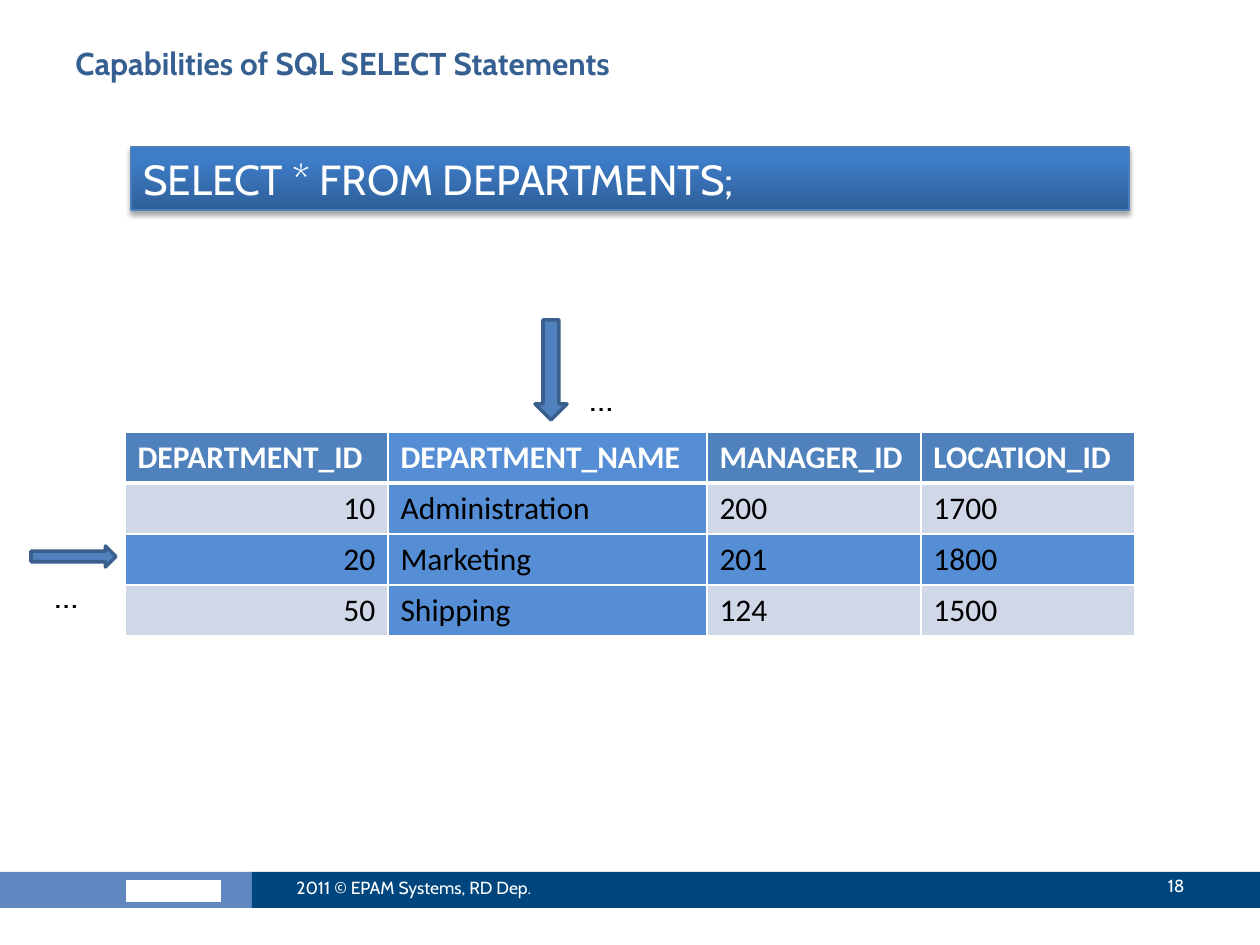
from lxml import etree
from pptx import Presentation
from pptx.dml.color import RGBColor
from pptx.enum.shapes import MSO_SHAPE
from pptx.enum.text import MSO_ANCHOR, PP_ALIGN
from pptx.oxml import parse_xml
from pptx.oxml.ns import nsdecls, qn
from pptx.util import Pt

RECTANGLE = MSO_SHAPE.RECTANGLE
DOWN_ARROW = MSO_SHAPE.DOWN_ARROW
RIGHT_ARROW = MSO_SHAPE.RIGHT_ARROW
TOP, MIDDLE = MSO_ANCHOR.TOP, MSO_ANCHOR.MIDDLE
LEFT, RIGHT = PP_ALIGN.LEFT, PP_ALIGN.RIGHT

WHITE = RGBColor(0xFF, 0xFF, 0xFF)
BLACK = RGBColor(0x00, 0x00, 0x00)
NAVY = RGBColor(0x00, 0x46, 0x7E)
STEEL = RGBColor(0x60, 0x87, 0xBF)
TITLE_BLUE = RGBColor(0x37, 0x60, 0x92)
HEADER_BLUE = RGBColor(0x4F, 0x81, 0xBD)
ARROW_EDGE = RGBColor(0x3A, 0x5F, 0x8C)
HIGHLIGHT = RGBColor(0x55, 0x8E, 0xD5)
PALE_BLUE = RGBColor(0xD0, 0xD8, 0xE8)
BANNER_DARK = RGBColor(0x2F, 0x5F, 0x99)
BANNER_LIGHT = RGBColor(0x3D, 0x7C, 0xC7)
BANNER_EDGE = RGBColor(0x4B, 0x7E, 0xBC)

PX_PER_INCH = 126
HEADING_FONT, TABLE_FONT = "Cabin", "Calibri"
DEPARTMENTS = [
    ["DEPARTMENT_ID", "DEPARTMENT_NAME", "MANAGER_ID", "LOCATION_ID"],
    ["10", "Administration", "200", "1700"],
    ["20", "Marketing", "201", "1800"],
    ["50", "Shipping", "124", "1500"],
]
COLUMN_WIDTHS = [263, 319, 214, 214]
ROW_HEIGHT = 51
HIGHLIGHT_ROW, HIGHLIGHT_COLUMN = 2, 1


def px(length):
    return round(length * 914400 / PX_PER_INCH)


def style_text(para, size, color, font=HEADING_FONT, bold=False, align=LEFT):
    para.alignment = align
    para.font.size = Pt(size)
    para.font.name = font
    para.font.bold = bold
    para.font.color.rgb = color


def add_text(page, box, text, size, color, anchor=TOP, **style):
    frame = page.shapes.add_textbox(*map(px, box)).text_frame
    frame.word_wrap = True
    frame.vertical_anchor = anchor
    frame.text = text
    style_text(frame.paragraphs[0], size, color, **style)


def add_block(page, preset, box, fill, edge=None, edge_width=2):
    block = page.shapes.add_shape(preset, *map(px, box))
    block.shadow.inherit = False
    block.fill.solid()
    block.fill.fore_color.rgb = fill
    if edge is None:
        block.line.fill.background()
    else:
        block.line.color.rgb = edge
        block.line.width = Pt(edge_width)
    return block


def add_footer(page, box):
    left, top, width, height = box
    add_block(page, RECTANGLE, (left, top, 252, height), STEEL)
    add_block(page, RECTANGLE, (left + 126, top + 8, 95, 22), WHITE)
    add_block(page, RECTANGLE, (left + 252, top, width - 252, height), NAVY)
    add_text(page, (left + 284, top - 9, 336, 50),
             "2011 © EPAM Systems, RD Dep.", 10, WHITE, MIDDLE)
    add_text(page, (left + width - 199, top - 11, 136, 50),
             "18", 10, WHITE, MIDDLE, align=RIGHT)


def add_query_banner(page, box, query):
    banner = add_block(page, RECTANGLE, box, BANNER_LIGHT, BANNER_EDGE, 0.75)
    banner.fill.gradient()
    banner.fill.gradient_angle = 90
    stops = banner.fill.gradient_stops
    for stop, position, color in zip(stops, (0, 0.8), (BANNER_DARK, BANNER_LIGHT)):
        stop.position = position
        stop.color.rgb = color
    effects = banner._element.spPr.find(qn("a:effectLst"))
    effects.append(parse_xml(
        f'<a:outerShdw {nsdecls("a")} blurRad="{Pt(3.1)}" dist="{Pt(1.8)}" '
        'dir="5400000" rotWithShape="0"><a:srgbClr val="000000">'
        '<a:alpha val="35000"/></a:srgbClr></a:outerShdw>'))
    frame = banner.text_frame
    frame.word_wrap = True
    frame.vertical_anchor = TOP
    frame.text = query
    style_text(frame.paragraphs[0], 24, WHITE)


def set_borders(cell, color, bottom_width):
    properties = cell._tc.get_or_add_tcPr()
    widths = {"lnL": 1, "lnR": 1, "lnT": 1, "lnB": bottom_width}
    for index, (side, width) in enumerate(widths.items()):
        line = etree.Element(qn(f"a:{side}"), w=str(Pt(width)))
        fill = etree.SubElement(line, qn("a:solidFill"))
        etree.SubElement(fill, qn("a:srgbClr"), val=str(color))
        properties.insert(index, line)


def cell_fill(row, column):
    if row == HIGHLIGHT_ROW or column == HIGHLIGHT_COLUMN:
        return HIGHLIGHT
    return HEADER_BLUE if row == 0 else PALE_BLUE


def add_departments_table(page, left, top):
    row_count = len(DEPARTMENTS)
    box = (left, top, sum(COLUMN_WIDTHS), ROW_HEIGHT * row_count)
    table = page.shapes.add_table(
        row_count, len(COLUMN_WIDTHS), *map(px, box)).table
    for column, width in zip(table.columns, COLUMN_WIDTHS):
        column.width = px(width)
    for row, values in enumerate(DEPARTMENTS):
        table.rows[row].height = px(ROW_HEIGHT)
        is_header = row == 0
        for column, value in enumerate(values):
            cell = table.cell(row, column)
            cell.text = value
            cell.fill.solid()
            cell.fill.fore_color.rgb = cell_fill(row, column)
            set_borders(cell, WHITE, 3 if is_header or row == 0 else 1)
            style_text(cell.text_frame.paragraphs[0], 18,
                       WHITE if is_header else BLACK, TABLE_FONT, is_header,
                       RIGHT if column == 0 and not is_header else LEFT)


def add_selection_marks(page, left, top):
    add_block(page, DOWN_ARROW, (left + 410, top - 112, 32, 100),
              HEADER_BLUE, ARROW_EDGE)
    add_block(page, RIGHT_ARROW, (left - 94, top + 114, 85, 21),
              HEADER_BLUE, ARROW_EDGE)
    add_text(page, (left + 452, top - 62, 210, 55), "…", 20, BLACK)
    add_text(page, (left - 83, top + 135, 58, 55), "…", 20, BLACK)


def build_select_slide(deck):
    page = deck.slides.add_slide(deck.slide_layouts[6])
    add_footer(page, (0, 872, 1260, 36))
    add_text(page, (63, 38, 1134, 98), "Capabilities of SQL SELECT Statements",
             18, TITLE_BLUE, bold=True)
    add_departments_table(page, 125, 432)
    add_selection_marks(page, 125, 432)
    add_query_banner(page, (131, 147, 998, 63), "SELECT * FROM DEPARTMENTS;")


def main():
    deck = Presentation()
    deck.slide_width, deck.slide_height = px(1260), px(945)
    build_select_slide(deck)
    deck.save("out.pptx")


if __name__ == "__main__":
    main()
